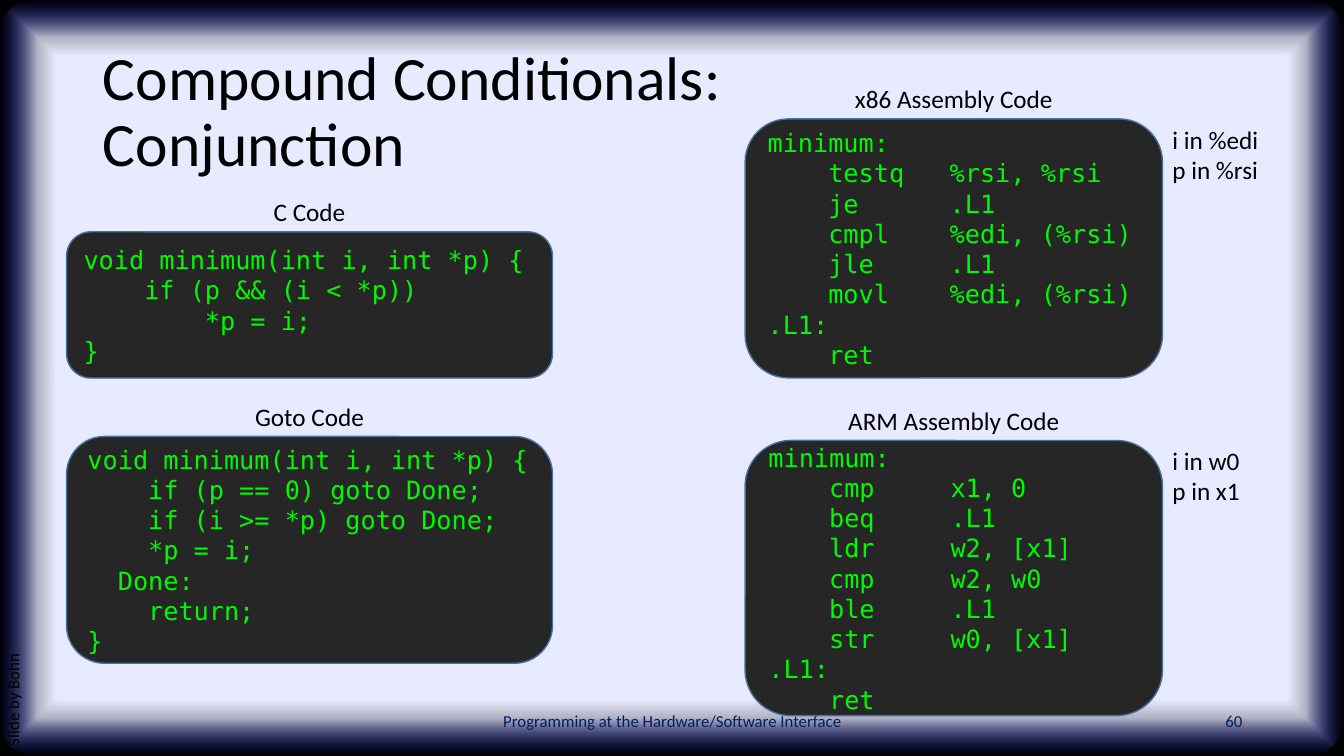
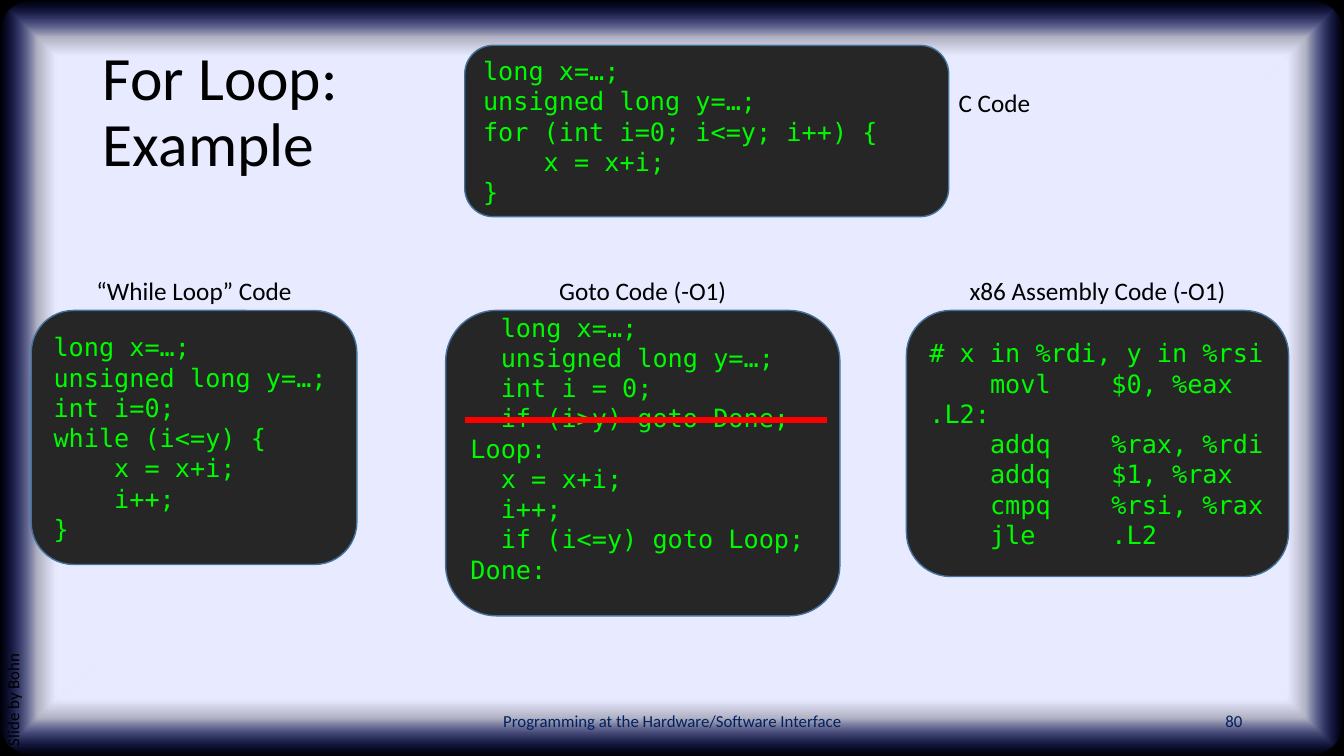
from lxml import etree
from pptx import Presentation
from pptx.dml.color import RGBColor
from pptx.enum.shapes import MSO_CONNECTOR, MSO_SHAPE
from pptx.enum.text import MSO_ANCHOR, MSO_AUTO_SIZE, PP_ALIGN
from pptx.oxml import parse_xml
from pptx.oxml.ns import nsdecls, qn
from pptx.util import Inches, Pt

WIDTH, HEIGHT = 13.33, 7.5
BLACK, NAVY, CODE_GREEN = "000000", "002060", "00FA00"
PANEL, PANEL_EDGE, RED = "262626", "43739E", "FF0000"
BODY_FONT, CODE_FONT = "Calibri", "DejaVu Sans Mono"
FOOTER = "Programming at the Hardware/Software Interface"
CREDIT = "Slide by Bohn"
CAPTION_HEIGHT = 0.4
LINE_HEIGHT = 0.3
# Backdrop gradient stops: position %, colour, opacity %
GLOW = [(85, "E8EAFF", 100), (90, "E8EAFF", 75), (100, "162AFF", 0)]

# Content: panels are (caption, box, code); boxes are left, top, width, height.
# Optional keys: "notes" beside panels, "strike" line, "spare" blank lines at the foot.
SLIDES = [
    {
        "title": ("Compound Conditionals:", "Conjunction"),
        "number": "60",
        "panels": [
            {"caption": "C Code", "box": (0.66, 2.3, 4.82, 1.45), "code": """\
void minimum(int i, int *p) {
    if (p && (i < *p))
        *p = i;
}"""},
            {"caption": "Goto Code", "box": (0.66, 4.33, 4.82, 2.25), "code": """\
void minimum(int i, int *p) {
    if (p == 0) goto Done;
    if (i >= *p) goto Done;
    *p = i;
  Done:
    return;
}"""},
            {"caption": "x86 Assembly Code", "box": (7.39, 1.18, 4.14, 2.57),
             "note": "i in %edi\np in %rsi", "code": """\
minimum:
    testq   %rsi, %rsi
    je      .L1
    cmpl    %edi, (%rsi)
    jle     .L1
    movl    %edi, (%rsi)
.L1:
    ret"""},
            {"caption": "ARM Assembly Code", "box": (7.39, 4.37, 4.14, 2.73),
             "note": "i in w0\np in x1", "code": """\
minimum:
    cmp     x1, 0
    beq     .L1
    ldr     w2, [x1]
    cmp     w2, w0
    ble     .L1
    str     w0, [x1]
.L1:
    ret"""},
        ],
    },
    {
        "title": ("For Loop:", "Example"),
        "number": "80",
        "panels": [
            {"note": "C Code", "note_drop": 0.37, "box": (4.61, 0.45, 4.8, 1.7), "code": """\
long x=…;
unsigned long y=…;
for (int i=0; i<=y; i++) {
    x = x+i;
}"""},
            {"caption": "x86 Assembly Code (-O1)", "box": (8.99, 3.08, 3.79, 2.64), "code": """\
# x in %rdi, y in %rsi
    movl    $0, %eax
.L2:
    addq    %rax, %rdi
    addq    $1, %rax
    cmpq    %rsi, %rax
    jle     .L2"""},
            {"caption": "Goto Code (-O1)", "box": (4.42, 3.08, 3.91, 3.03), "spare": 1, "code": """\
  long x=…;
  unsigned long y=…;
  int i = 0;
  if (i>y) goto Done;
Loop:
  x = x+i;
  i++;
  if (i<=y) goto Loop;
Done:"""},
            {"caption": "“While Loop” Code", "box": (0.31, 3.08, 3.23, 2.52), "code": """\
long x=…;
unsigned long y=…;
int i=0;
while (i<=y) {
    x = x+i;
    i++;
}"""},
        ],
        "strike": (4.61, 8.2, 4.17),
    },
]


def color(code):
    return RGBColor.from_string(code)


def inches(*lengths):
    return [Inches(length) for length in lengths]


def style(frame, size, font=BODY_FONT, ink=BLACK, align=PP_ALIGN.LEFT,
          anchor=MSO_ANCHOR.TOP, spacing=1.0):
    frame.word_wrap = True
    frame.auto_size = MSO_AUTO_SIZE.NONE
    frame.vertical_anchor = anchor
    for para in frame.paragraphs:
        para.alignment = align
        para.line_spacing = spacing
        for span in para.runs:
            span.font.name = font
            span.font.size = Pt(size)
            span.font.color.rgb = color(ink)


def add_text(page, box, text, size, **look):
    shape = page.shapes.add_textbox(*inches(*box))
    shape.text_frame.text = text
    style(shape.text_frame, size, **look)
    return shape


def add_backdrop(master, page):
    """Draw the glowing frame and move it to the master, behind everything."""
    full = inches(0, 0, WIDTH, HEIGHT)
    frame = page.shapes.add_shape(MSO_SHAPE.RECTANGLE, *full)
    frame.fill.solid()
    frame.fill.fore_color.rgb = color(BLACK)
    glow = page.shapes.add_shape(MSO_SHAPE.ROUNDED_RECTANGLE, *full)
    glow.adjustments[0] = 0.048
    stops = "".join(
        f'<a:gs pos="{place * 1000}"><a:srgbClr val="{ink}">'
        f'<a:alpha val="{opacity * 1000}"/></a:srgbClr></a:gs>'
        for place, ink, opacity in GLOW)
    gradient = parse_xml(
        f'<a:gradFill {nsdecls("a")} rotWithShape="1"><a:gsLst>{stops}</a:gsLst>'
        '<a:path path="shape"><a:fillToRect l="50000" t="50000" r="50000" b="50000"/>'
        '</a:path></a:gradFill>')
    glow.element.spPr.find(qn("a:prstGeom")).addnext(gradient)
    for position, shape in enumerate((frame, glow), start=2):
        shape.shadow.inherit = False
        shape.line.fill.background()
        master.shapes.element.insert(position, shape.element)


def add_title(page, lines):
    title = page.shapes.title
    title.left, title.top, title.width, title.height = inches(0.92, 0.4, 11.5, 1.45)
    para = title.text_frame.paragraphs[0]
    for index, line in enumerate(lines):
        if index:
            para.add_line_break()
        para.add_run().text = line
    style(title.text_frame, 44, anchor=MSO_ANCHOR.MIDDLE, spacing=0.9)


def add_footer(page, number):
    for box, text, align in (((4.42, 6.95, 4.5, 0.4), FOOTER, PP_ALIGN.CENTER),
                             ((9.42, 6.95, 3, 0.4), number, PP_ALIGN.RIGHT)):
        add_text(page, box, text, 12, ink=NAVY, align=align, anchor=MSO_ANCHOR.MIDDLE)
    credit = add_text(page, (-2.44, 4.66, 5.28, 0.4), CREDIT, 12, spacing=0.9)
    credit.rotation = 270


def add_panel(page, panel):
    left, top, width, height = panel["box"]
    shape = page.shapes.add_shape(MSO_SHAPE.ROUNDED_RECTANGLE, *inches(*panel["box"]))
    shape.shadow.inherit = False
    shape.fill.solid()
    shape.fill.fore_color.rgb = color(PANEL)
    shape.line.color.rgb = color(PANEL_EDGE)
    shape.line.width = Pt(1)
    frame = shape.text_frame
    frame.text = panel["code"]
    frame.margin_bottom = Inches(0.05 + LINE_HEIGHT * panel.get("spare", 0))
    style(frame, 18, font=CODE_FONT, ink=CODE_GREEN, anchor=MSO_ANCHOR.MIDDLE)
    if "caption" in panel:
        add_text(page, (left, top - CAPTION_HEIGHT, width, CAPTION_HEIGHT),
                 panel["caption"], 18, align=PP_ALIGN.CENTER)
    if "note" in panel:
        note_height = 0.1 + LINE_HEIGHT * len(panel["note"].splitlines())
        add_text(page, (left + width, top + panel.get("note_drop", 0), 1.3, note_height),
                 panel["note"], 18)


def add_strike(page, start, end, level):
    line = page.shapes.add_connector(MSO_CONNECTOR.STRAIGHT,
                                     *inches(start, level, end, level))
    line.line.color.rgb = color(RED)
    line.line.width = Pt(4.5)
    etree.SubElement(line.element.spPr, qn("a:effectLst"))


def main():
    deck = Presentation()
    deck.slide_width, deck.slide_height = inches(WIDTH, HEIGHT)
    for index, content in enumerate(SLIDES):
        page = deck.slides.add_slide(deck.slide_layouts[5])
        if index == 0:
            add_backdrop(deck.slide_master, page)
        add_title(page, content["title"])
        add_footer(page, content["number"])
        for panel in content["panels"]:
            add_panel(page, panel)
        if "strike" in content:
            add_strike(page, *content["strike"])
    deck.save("out.pptx")


if __name__ == "__main__":
    main()
